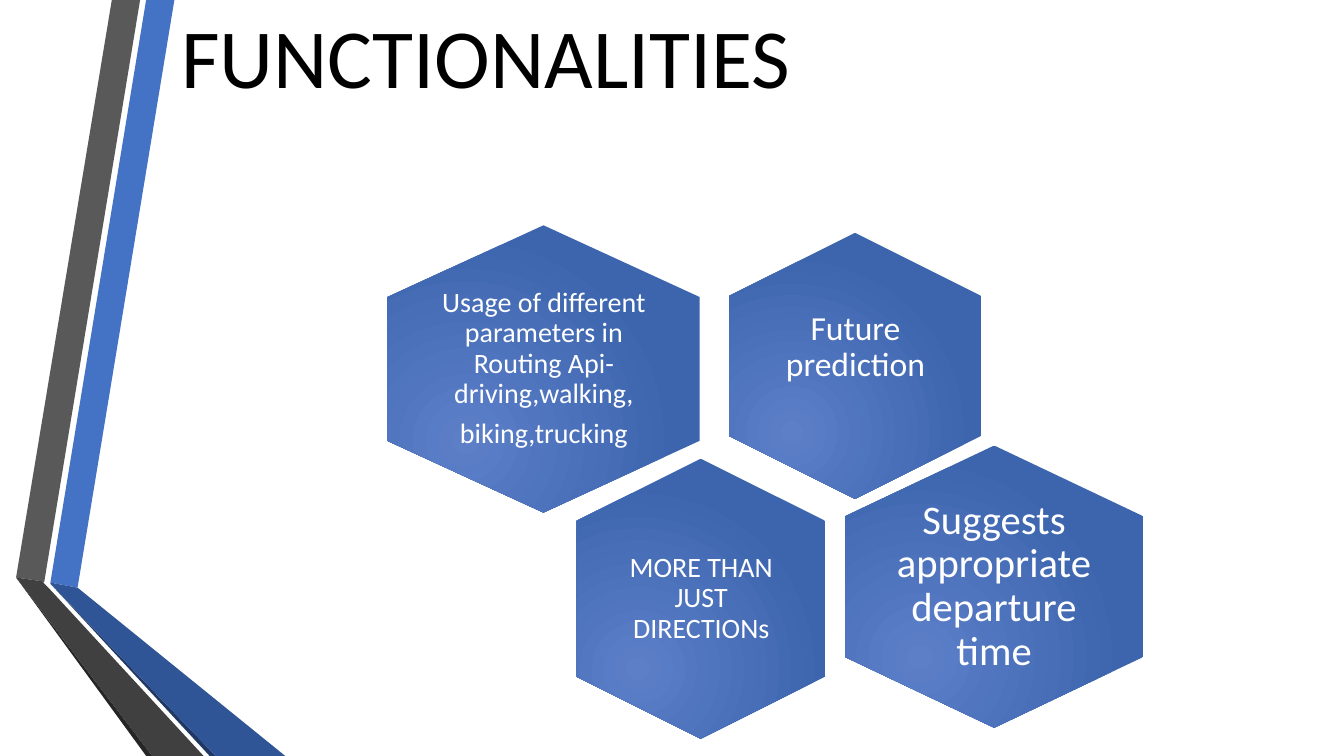
from lxml.etree import SubElement
from pptx import Presentation
from pptx.dml.color import RGBColor
from pptx.enum.shapes import MSO_SHAPE
from pptx.enum.text import MSO_ANCHOR, PP_ALIGN
from pptx.oxml.ns import qn
from pptx.util import Pt

PX = 9144  # 100 px to the inch


def rgb(value):
    return RGBColor.from_string(value)


def add_text(box, paragraphs, size, color, insets, **formats):
    """Add a text box; box and insets are px, formats apply to each paragraph."""
    tf = s.shapes.add_textbox(*(v * PX for v in box)).text_frame
    tf.word_wrap = True
    for side, inset in zip(("left", "top", "right", "bottom"), insets):
        setattr(tf, f"margin_{side}", inset * PX)
    for i, text in enumerate(paragraphs):
        p = tf.add_paragraph() if i else tf.paragraphs[0]
        for name, value in formats.items():
            setattr(p, name, value)
        r = p.add_run()
        r.text = text
        r.font.name, r.font.size = "Calibri", Pt(size)
        r.font.color.rgb = rgb(color)
    return tf


prs = Presentation()
prs.slide_width, prs.slide_height = 1333 * PX, 750 * PX
s = prs.slides.add_slide(prs.slide_layouts[6])

# Folded ribbons on the left
ribbons = [
    ("4472C4", [(50, 578), (77, 583), (173, 0), (145, 0)]),
    ("595959", [(139, 0), (111, 0), (16, 573), (44, 577)]),
    ("262626", [(16, 573), (145, 750), (151, 750)]),
    ("203864", [(50, 579), (208, 750), (214, 750)]),
    ("2F5597", [(50, 579), (214, 750), (283, 750), (77, 583), (50, 578)]),
    ("404040", [(202, 750), (48, 583), (43, 578), (44, 577), (16, 573), (151, 750)]),
]
for color, points in ribbons:
    outline = s.shapes.build_freeform(*points[0], scale=PX)
    outline.add_line_segments(points[1:], close=True)
    sp = outline.convert_to_shape()
    sp.shadow.inherit = False
    sp.fill.solid()
    sp.fill.fore_color.rgb = rgb(color)
    sp.line.fill.background()

add_text((151, 0, 687, 212), [" FUNCTIONALITIES"], 60, "000000", (10, 5, 10, 5))

# Centre, hexagon size before its quarter turn, text size, insets, font size, text
hexagons = [
    ((848, 363), (264, 250), (169, 178), (10, 10, 10, 46), 24, ["Future prediction"]),
    ((539, 366), (285, 310), (207, 190), (0, 0, 0, 0), 20,
     ["Usage of different parameters in Routing Api-driving,walking,", "biking,trucking"]),
    ((695, 594), (278, 247), (169, 190), (8, 8, 8, 8), 20, ["MORE THAN JUST DIRECTIONs"]),
    ((986, 582), (280, 295), (196, 186), (0, 0, 0, 0), 29,
     ["Suggests appropriate departure time"]),
]
for (cx, cy), (w, h), (tw, th), insets, size, paragraphs in hexagons:
    sp = s.shapes.add_shape(MSO_SHAPE.HEXAGON, (cx * 2 - w) * PX // 2,
                            (cy * 2 - h) * PX // 2, w * PX, h * PX)
    sp.rotation = 90
    sp.shadow.inherit = False
    sp.line.fill.background()
    sp.fill.gradient()
    for stop, color in zip(sp.fill.gradient_stops, ("5C7FC8", "3C65AE")):
        stop.color.rgb = rgb(color)
    grad = sp._element.spPr.find(qn("a:gradFill"))
    grad.remove(grad.find(qn("a:lin")))
    circle = SubElement(grad, qn("a:path"), {"path": "circle"})
    SubElement(circle, qn("a:fillToRect"),
               {"l": "50000", "t": "100000", "r": "100000", "b": "50000"})

    tf = add_text((cx - tw // 2, cy - th // 2, tw, th), paragraphs, size, "FFFFFF", insets,
                  alignment=PP_ALIGN.CENTER, line_spacing=0.9, space_after=Pt(size * 0.35))
    tf.vertical_anchor = MSO_ANCHOR.MIDDLE

prs.save("out.pptx")
